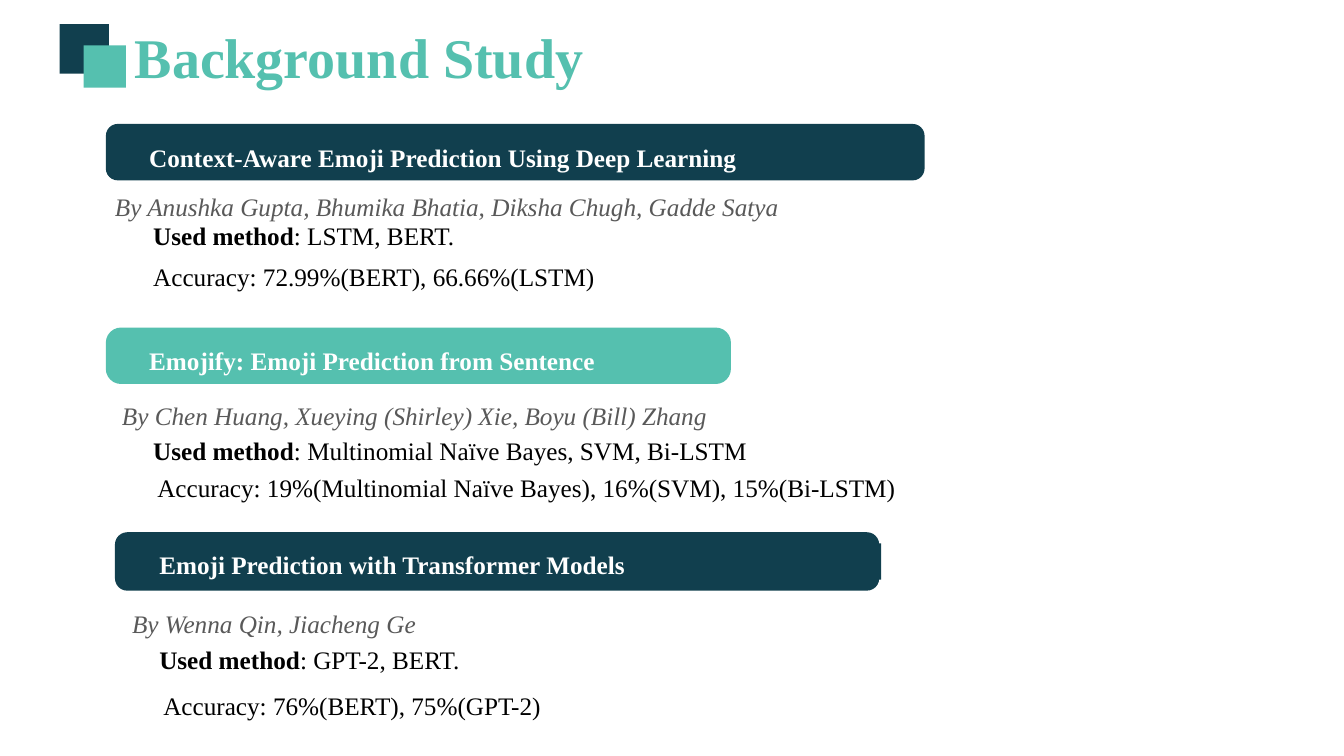
import pptx
import pptx.util
import pptx.dml.color
import pptx.enum.shapes
import pptx.enum.text
from dataclasses import dataclass

Inches = pptx.util.Inches
Shape = pptx.enum.shapes.MSO_SHAPE
Align = pptx.enum.text.PP_ALIGN


@dataclass(frozen=True)
class Theme:
    font: str = "Times New Roman"
    navy: str = "113F4E"
    teal: str = "55C0AF"
    white: str = "FFFFFF"
    gray: str = "595959"
    black: str = "000000"
    body: int = 18
    title: int = 40


class Deck:
    def __init__(self, theme):
        self.theme = theme
        self.file = pptx.Presentation()
        self.file.slide_width = Inches(13.33)
        self.file.slide_height = Inches(7.5)
        self.slide = self.file.slides.add_slide(self.file.slide_layouts[6])

    def block(self, at, color, radius=None):
        kind = Shape.RECTANGLE if radius is None else Shape.ROUNDED_RECTANGLE
        shape = self.slide.shapes.add_shape(kind, *map(Inches, at))
        if radius is not None:
            shape.adjustments[0] = radius
        shape.shadow.inherit = False
        shape.fill.solid()
        shape.fill.fore_color.rgb = pptx.dml.color.RGBColor.from_string(color)
        shape.line.fill.background()
        return shape

    def letter(self, shape, runs, color, size=None, align=Align.LEFT,
               pad=(0.1, 0.05), indent=0, spacing=None):
        """Fill a shape with one paragraph; runs are (text, bold, italic)."""
        frame = shape.text_frame
        frame.word_wrap = True
        frame.auto_size = pptx.enum.text.MSO_AUTO_SIZE.SHAPE_TO_FIT_TEXT
        frame.vertical_anchor = pptx.enum.text.MSO_ANCHOR.TOP
        frame.margin_left = Inches(pad[0] + indent)
        frame.margin_right = Inches(pad[0])
        frame.margin_top = frame.margin_bottom = Inches(pad[1])
        line = frame.paragraphs[0]
        line.alignment = align
        if spacing:
            line.line_spacing = spacing
        for text, bold, italic in runs:
            run = line.add_run()
            run.text = text
            run.font.name = self.theme.font
            run.font.size = pptx.util.Pt(size or self.theme.body)
            run.font.bold = bold
            run.font.italic = italic
            run.font.color.rgb = pptx.dml.color.RGBColor.from_string(color)

    def text(self, at, runs, color, **style):
        box = self.slide.shapes.add_textbox(*map(Inches, at))
        self.letter(box, runs, color, **style)

    def study(self, paper):
        """Draw one paper: banner, authors, method and accuracy."""
        tight = dict(align=Align.JUSTIFY, pad=(0, 0), spacing=1.2)
        self.block(paper["bar"], paper["color"], paper["radius"])
        label = self.block(paper["label"], paper["color"])
        self.letter(label, [(paper["name"], True, False)],
                    self.theme.white, **tight)
        left, top = paper["by"]
        self.text((left, top, 11.4, 0.33), [(paper["authors"], False, True)],
                  self.theme.gray, **tight)
        left, top, indent = paper["used"]
        self.text((left, top, 9.96, 0.4),
                  [("Used method", True, False),
                   (": " + paper["method"], False, False)],
                  self.theme.black, indent=indent)
        left, top, indent = paper["score"]
        self.text((left, top, 9.02, 0.4),
                  [("Accuracy: " + paper["result"], False, False)],
                  self.theme.black, indent=indent)


def main():
    theme = Theme()
    deck = Deck(theme)
    papers = [
        dict(name="Context-Aware Emoji Prediction Using Deep Learning",
             authors="By Anushka Gupta, Bhumika Bhatia, Diksha Chugh, Gadde Satya",
             method="LSTM, BERT.", result="72.99%(BERT), 66.66%(LSTM)",
             color=theme.navy, radius=0.21,
             bar=(1.05, 1.23, 8.12, 0.56), label=(1.48, 1.35, 6.74, 0.36),
             by=(1.14, 1.84), used=(1.11, 2.14, 0.31), score=(1.11, 2.54, 0.31)),
        dict(name="Emojify: Emoji Prediction from Sentence",
             authors="By Chen Huang, Xueying (Shirley) Xie, Boyu (Bill) Zhang",
             method="Multinomial Naïve Bayes, SVM, Bi-LSTM",
             result="19%(Multinomial Naïve Bayes), 16%(SVM), 15%(Bi-LSTM)",
             color=theme.teal, radius=0.27,
             bar=(1.05, 3.25, 6.2, 0.56), label=(1.48, 3.37, 5.74, 0.33),
             by=(1.21, 3.91), used=(1.17, 4.27, 0.25), score=(1.21, 4.64, 0.25)),
        dict(name="Emoji Prediction with Transformer Models",
             authors="By Wenna Qin, Jiacheng Ge",
             method="GPT-2, BERT.", result="76%(BERT), 75%(GPT-2)",
             color=theme.navy, radius=0.21,
             bar=(1.14, 5.28, 7.58, 0.58), label=(1.58, 5.39, 7.16, 0.36),
             by=(1.31, 5.98), used=(1.17, 6.34, 0.31), score=(1.21, 6.8, 0.31)),
    ]
    deck.block((0.59, 0.24, 0.49, 0.49), theme.navy)
    deck.block((0.83, 0.45, 0.42, 0.42), theme.teal)
    for paper in papers:
        deck.study(paper)
    deck.text((1.21, 0.17, 4.7, 0.77), [("Background Study", True, False)],
              theme.teal, size=theme.title, align=Align.CENTER)
    deck.file.save("out.pptx")


if __name__ == "__main__":
    main()
